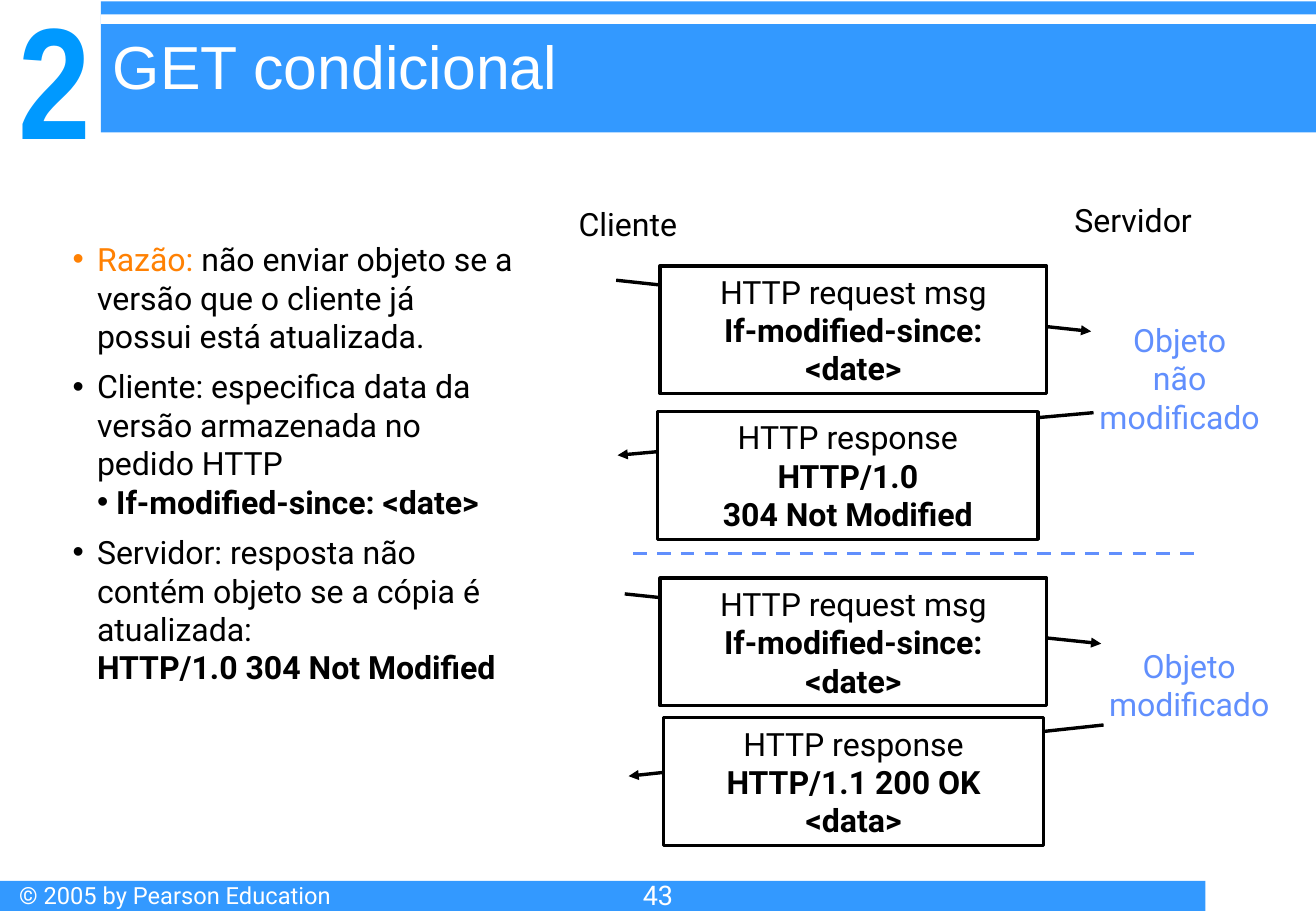
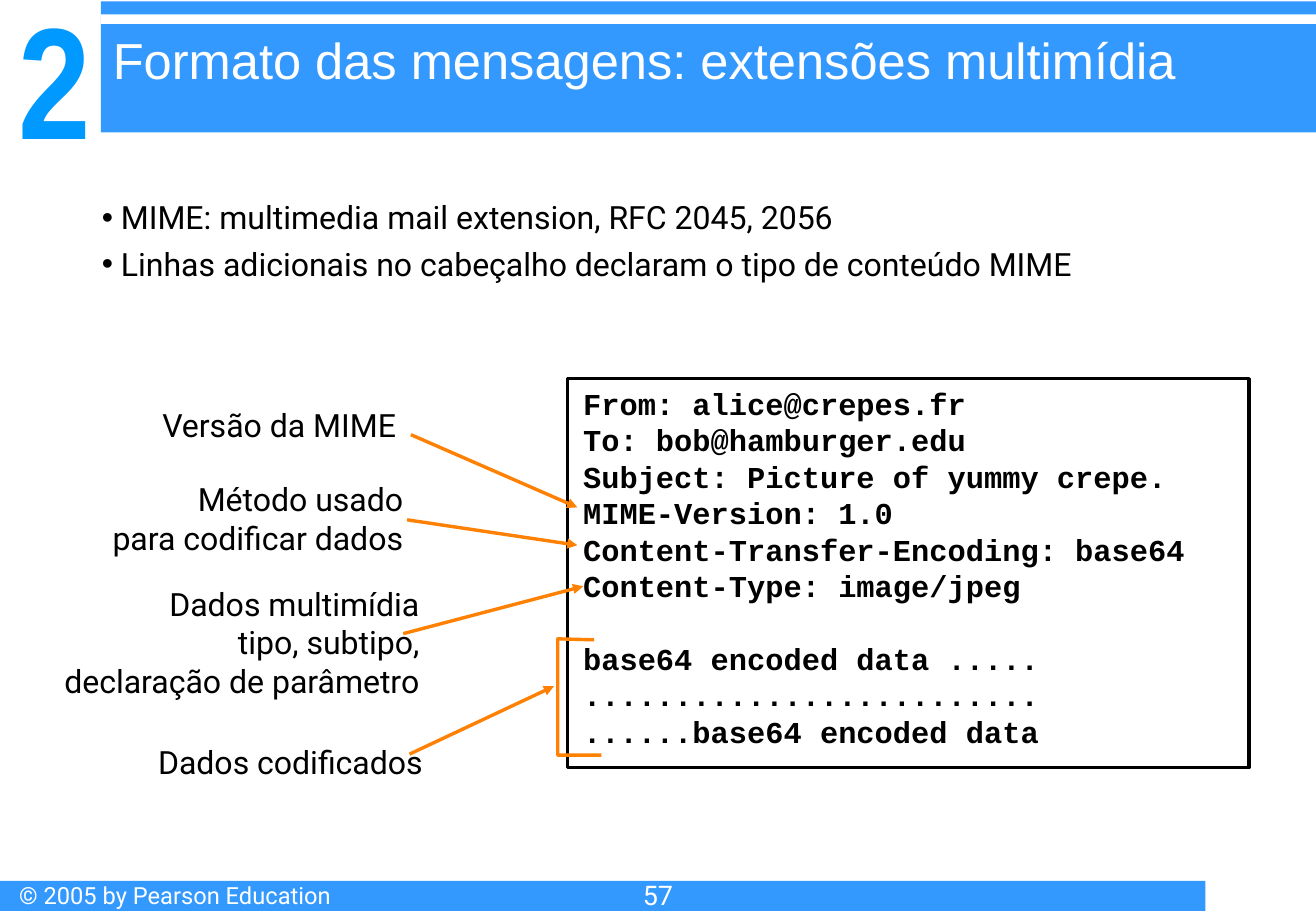
from dataclasses import dataclass

from lxml.etree import SubElement
from pptx import Presentation
from pptx.dml.color import RGBColor
from pptx.enum.dml import MSO_LINE
from pptx.enum.shapes import MSO_CONNECTOR, MSO_SHAPE
from pptx.enum.text import MSO_ANCHOR as Anchor, PP_ALIGN as Align
from pptx.oxml.ns import qn
from pptx.util import Cm, Pt


@dataclass(frozen=True)
class Theme:
    """Colours, fonts and type sizes shared by the slides."""

    band: RGBColor = RGBColor(0x33, 0x99, 0xFF)
    chapter: RGBColor = RGBColor(0x00, 0x99, 0xFF)
    accent: RGBColor = RGBColor(0xFF, 0x81, 0x03)
    verdict: RGBColor = RGBColor(0x61, 0x8F, 0xFD)
    ink: RGBColor = RGBColor(0, 0, 0)
    paper: RGBColor = RGBColor(0xFF, 0xFF, 0xFF)
    body_font: str = "Roboto"
    title_font: str = "Arial"
    chapter_font: str = "Arial Narrow"
    code_font: str = "Courier New"
    body_size: float = 19
    body_pitch: float = 22.8
    code_size: float = 18
    code_pitch: float = 21.6
    footer_size: float = 14
    number_size: float = 16
    chapter_size: float = 94
    line_width: float = 2


@dataclass(frozen=True)
class Box:
    """A rectangle in centimetres."""

    left: float
    top: float
    width: float
    height: float

    def inner(self, left, top, width, height):
        """Return a box placed relative to this one."""
        return Box(self.left + left, self.top + top, width, height)

    def point(self, place):
        """Return an offset from the top left corner as slide lengths."""
        return Cm(self.left + place[0]), Cm(self.top + place[1])

    def lengths(self):
        """Return the four lengths that python-pptx expects."""
        return Cm(self.left), Cm(self.top), Cm(self.width), Cm(self.height)


@dataclass(frozen=True)
class Item:
    """A list entry with its indent, hanging bullet and spacing."""

    text: str
    lead: str = ""
    margin: float = 0.51
    hang: float = 0.51
    bold: bool = False
    before: float = 0
    after: float = 0


@dataclass(frozen=True)
class Message:
    """A message box and the arrow that passes behind it."""

    box: tuple
    start: tuple
    end: tuple
    plain: str
    strong: tuple


THEME = Theme()
PAGE = Box(0, 0, 27.51, 19.05)
REQUEST = "HTTP request msg"
RESPONSE = "HTTP response"
CONDITION = "If-modified-since: <date>"


def style(paragraph, size=THEME.body_size, font=THEME.body_font, color=THEME.ink,
          bold=False, align=Align.LEFT, pitch=None):
    """Set the type and alignment of one paragraph."""
    paragraph.alignment = align
    if pitch:
        paragraph.line_spacing = Pt(pitch)
    paragraph.font.size = Pt(size)
    paragraph.font.name = font
    paragraph.font.bold = bold
    if color is not None:
        paragraph.font.color.rgb = color


def set_margins(frame, side=0.25, top=0.13):
    """Set the insets of a text frame."""
    frame.margin_left = frame.margin_right = Cm(side)
    frame.margin_top = frame.margin_bottom = Cm(top)


def fill_lines(frame, lines, **look):
    """Write one paragraph a line and return the paragraphs."""
    frame.text = "\n".join(lines)
    for paragraph in frame.paragraphs:
        style(paragraph, **look)
    return frame.paragraphs


def add_text(slide, box, lines, wrap=True, **look):
    """Add a text box and return its frame."""
    frame = slide.shapes.add_textbox(*box.lengths()).text_frame
    frame.word_wrap = wrap
    set_margins(frame)
    fill_lines(frame, lines, **look)
    return frame


def add_label(slide, box, lines, color=THEME.ink, align=Align.CENTER):
    """Add an unwrapped diagram label."""
    add_text(slide, box, lines, wrap=False, color=color, align=align,
             pitch=THEME.body_pitch)


def add_rectangle(slide, box, fill=None, line=None):
    """Add a rectangle with an optional fill and outline."""
    shape = slide.shapes.add_shape(MSO_SHAPE.RECTANGLE, *box.lengths())
    shape.shadow.inherit = False
    if fill is None:
        shape.fill.background()
    else:
        shape.fill.solid()
        shape.fill.fore_color.rgb = fill
    if line is None:
        shape.line.fill.background()
    else:
        shape.line.color.rgb = line
        shape.line.width = Pt(THEME.line_width)
    return shape


def add_line(slide, start, end, color, arrow=True):
    """Add a straight line, either with an arrowhead or dashed."""
    connector = slide.shapes.add_connector(MSO_CONNECTOR.STRAIGHT, *start, *end)
    connector.line.color.rgb = color
    connector.line.width = Pt(THEME.line_width)
    if arrow:
        SubElement(connector.line._get_or_add_ln(), qn("a:tailEnd"), type="triangle")
    else:
        connector.line.dash_style = MSO_LINE.DASH
    SubElement(connector._element.spPr, qn("a:effectLst"))


def add_list(slide, box, items):
    """Add a list whose entries hang on real bullets."""
    frame = add_text(slide, box, [""])
    for index, item in enumerate(items):
        paragraph = frame.add_paragraph() if index else frame.paragraphs[0]
        properties = paragraph._p.get_or_add_pPr()
        properties.set("marL", str(Cm(item.margin)))
        properties.set("indent", str(-Cm(item.hang)))
        if item.hang:
            SubElement(properties, qn("a:buFont"), typeface=THEME.title_font)
            SubElement(properties, qn("a:buChar"), char="•")
        if item.lead:
            lead = paragraph.add_run()
            lead.text = item.lead
            lead.font.color.rgb = THEME.accent
        paragraph.add_run().text = item.text
        paragraph.space_before = Pt(item.before)
        paragraph.space_after = Pt(item.after)
        style(paragraph, bold=item.bold, pitch=THEME.body_pitch)


def draw_frame(slide, page, title, title_size, number):
    """Draw the bands, chapter number, title and footer."""
    add_rectangle(slide, page.inner(2.11, 0.03, 25.4, 2.74), THEME.band)
    add_rectangle(slide, page.inner(2.11, 0.3, 25.4, 0.2), THEME.paper)
    chapter = add_text(slide, page.inner(0.08, -0.41, 2.11, 3.99), ["2"],
                       size=THEME.chapter_size, font=THEME.chapter_font,
                       color=THEME.chapter, bold=True, align=Align.CENTER)
    set_margins(chapter, 0, 0)
    chapter.vertical_anchor = Anchor.BOTTOM
    add_rectangle(slide, page.inner(0, 18.42, 25.2, 0.63), THEME.band)
    add_text(slide, page.inner(0.15, 18.29, 8.46, 0.76), ["© 2005 by Pearson Education"],
             size=THEME.footer_size, color=THEME.paper)
    add_text(slide, page.inner(2.11, 0.48, 25.4, 2.11), [title], size=title_size,
             font=THEME.title_font, color=THEME.paper)
    add_text(slide, page.inner(0, 18.24, page.width, 0.81), [number],
             size=THEME.number_size, color=THEME.paper, align=Align.CENTER)


def draw_message(slide, area, message):
    """Draw an arrow and the message box that covers its middle."""
    add_line(slide, area.point(message.start), area.point(message.end), THEME.ink)
    shape = add_rectangle(slide, area.inner(*message.box), THEME.paper, THEME.ink)
    frame = shape.text_frame
    frame.word_wrap = True
    frame.vertical_anchor = Anchor.TOP
    set_margins(frame, side=0.4)
    paragraphs = fill_lines(frame, (message.plain, *message.strong),
                            align=Align.CENTER, pitch=THEME.body_pitch)
    for paragraph in paragraphs[1:]:
        paragraph.font.bold = True


def draw_exchanges(slide, area):
    """Draw the two exchanges between client and server."""
    messages = (
        Message((2.01, 1.5, 8.08, 2.67), (1.09, 1.8), (11.02, 2.87), REQUEST, (CONDITION,)),
        Message((1.96, 4.55, 7.95, 2.67), (11.07, 4.57), (1.12, 5.46), RESPONSE,
                ("HTTP/1.0", "304 Not Modified")),
        Message((2.01, 8.03, 8.08, 2.67), (1.27, 8.36), (11.23, 9.4), REQUEST, (CONDITION,)),
        Message((2.08, 10.95, 7.95, 2.67), (11.28, 11.1), (1.35, 12.17), RESPONSE,
                ("HTTP/1.1 200 OK", "<data>")),
    )
    for message in messages:
        draw_message(slide, area, message)
    add_line(slide, area.point((1.45, 7.52)), area.point((13.21, 7.52)),
             THEME.verdict, arrow=False)
    labels = (
        ((0, 0.08, 2.67, 1.07), ["Cliente"], THEME.ink),
        ((10.34, 0, 3.12, 1.07), ["Servidor"], THEME.ink),
        ((10.85, 2.51, 4.04, 2.67), ["Objeto", "não", "modificado"], THEME.verdict),
        ((11.05, 9.32, 4.04, 1.88), ["Objeto", "modificado"], THEME.verdict),
    )
    for place, lines, color in labels:
        add_label(slide, area.inner(*place), lines, color)


def draw_mail(slide, area):
    """Draw the mail message, its explanations and their arrows."""
    frame = add_rectangle(slide, area.inner(11.25, 0, 14.25, 8.13), line=THEME.ink).text_frame
    frame.word_wrap = True
    frame.vertical_anchor = Anchor.TOP
    set_margins(frame, side=0.33)
    lines = ("From: alice@crepes.fr", "To: bob@hamburger.edu",
             "Subject: Picture of yummy crepe.", "MIME-Version: 1.0",
             "Content-Transfer-Encoding: base64", "Content-Type: image/jpeg",
             "base64 encoded data .....", "." * 25, "......base64 encoded data")
    paragraphs = fill_lines(frame, lines, size=THEME.code_size, font=THEME.code_font,
                            bold=True, pitch=THEME.code_pitch)
    paragraphs[6].space_before = Pt(THEME.code_pitch)
    notes = (
        ((2.31, 0.43, 5.61, 1.07), ["Versão da MIME"], (7.98, 1.17), (11.46, 2.69)),
        ((1.19, 1.98, 6.88, 1.88), ["Método usado", "para codificar dados"],
         (7.9, 2.95), (11.46, 3.48)),
        ((0, 4.17, 8.41, 2.67),
         ["Dados multimídia", "tipo, subtipo,", "declaração de parâmetro"],
         (7.82, 5.33), (11.58, 4.34)),
        ((2.26, 7.47, 6.22, 1.07), ["Dados codificados"], (7.95, 7.85), (10.97, 6.43)),
    )
    for place, text, start, end in notes:
        add_label(slide, area.inner(*place), text, align=Align.RIGHT)
        add_line(slide, area.point(start), area.point(end), THEME.accent)
    corners = [area.point(place) for place in
               ((11.81, 5.46), (11.05, 5.44), (11.05, 7.87), (11.96, 7.87))]
    builder = slide.shapes.build_freeform(*corners[0])
    builder.add_line_segments(corners[1:], close=False)
    bracket = builder.convert_to_shape()
    bracket.shadow.inherit = False
    bracket.fill.background()
    bracket.line.color.rgb = THEME.accent
    bracket.line.width = Pt(THEME.line_width)


def build_conditional_get(slide):
    """Build the slide on the conditional GET."""
    draw_frame(slide, PAGE, "GET condicional", 36, "43")
    add_list(slide, PAGE.inner(1.27, 4.88, 9.77, 11.96), (
        Item(" não enviar objeto se a versão que o cliente já possui está atualizada.",
             lead="Razão:", after=7.1),
        Item("Cliente: especifica data da versão armazenada no pedido HTTP"),
        Item(CONDITION, margin=0.91, hang=0.4, bold=True, after=7.1),
        Item("Servidor: resposta não contém objeto se a cópia é atualizada:"),
        Item("HTTP/1.0 304 Not Modified", hang=0, bold=True),
    ))
    draw_exchanges(slide, PAGE.inner(11.79, 4.06, 15.09, 13.61))


def build_multimedia(slide):
    """Build the slide on multimedia extensions."""
    draw_frame(slide, PAGE, "Formato das mensagens: extensões multimídia", 30, "57")
    add_list(slide, PAGE.inner(1.88, 4.01, 22.05, 2.29), (
        Item("MIME: multimedia mail extension, RFC 2045, 2056", margin=0.4, hang=0.4),
        Item("Linhas adicionais no cabeçalho declaram o tipo de conteúdo MIME",
             margin=0.4, hang=0.4, before=4.8),
    ))
    draw_mail(slide, PAGE.inner(0.61, 7.92, 25.5, 8.53))


def main():
    """Build and save the presentation."""
    presentation = Presentation()
    presentation.slide_width = Cm(PAGE.width)
    presentation.slide_height = Cm(PAGE.height)
    for build in (build_conditional_get, build_multimedia):
        build(presentation.slides.add_slide(presentation.slide_layouts[6]))
    presentation.save("out.pptx")


if __name__ == "__main__":
    main()
